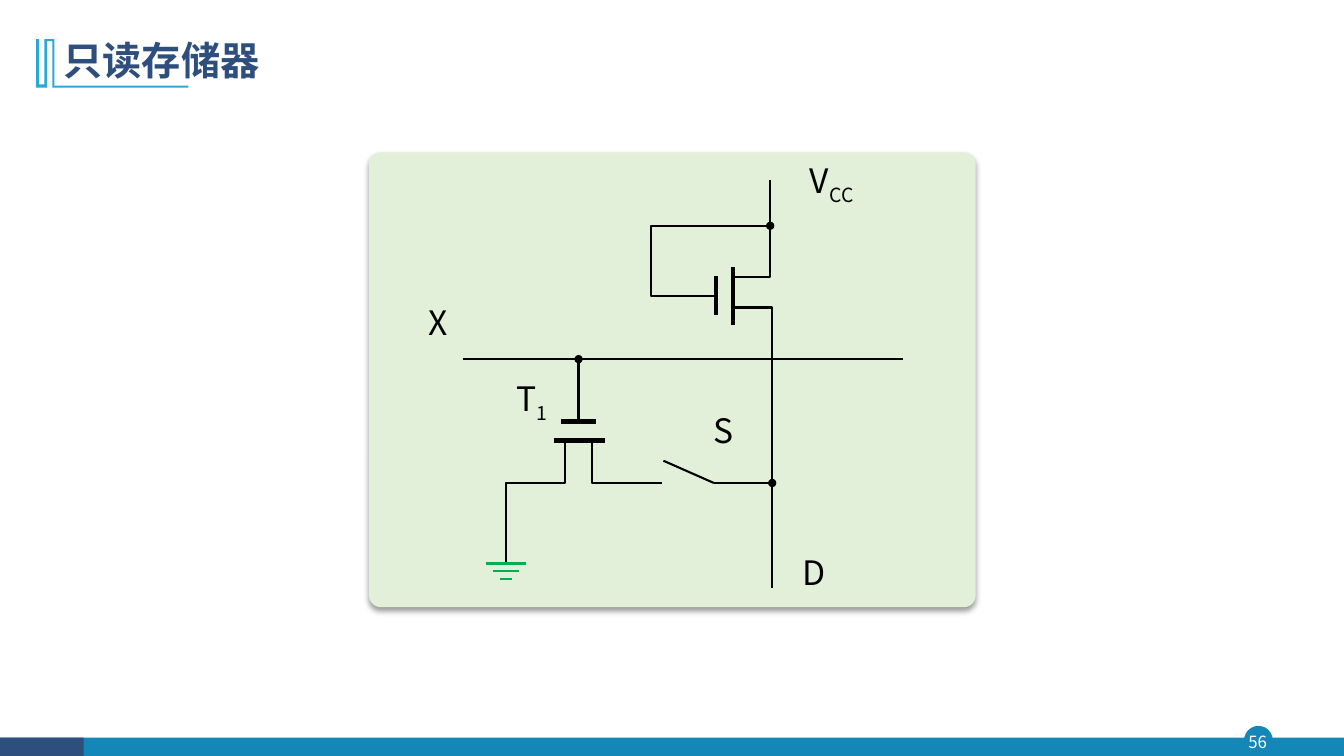
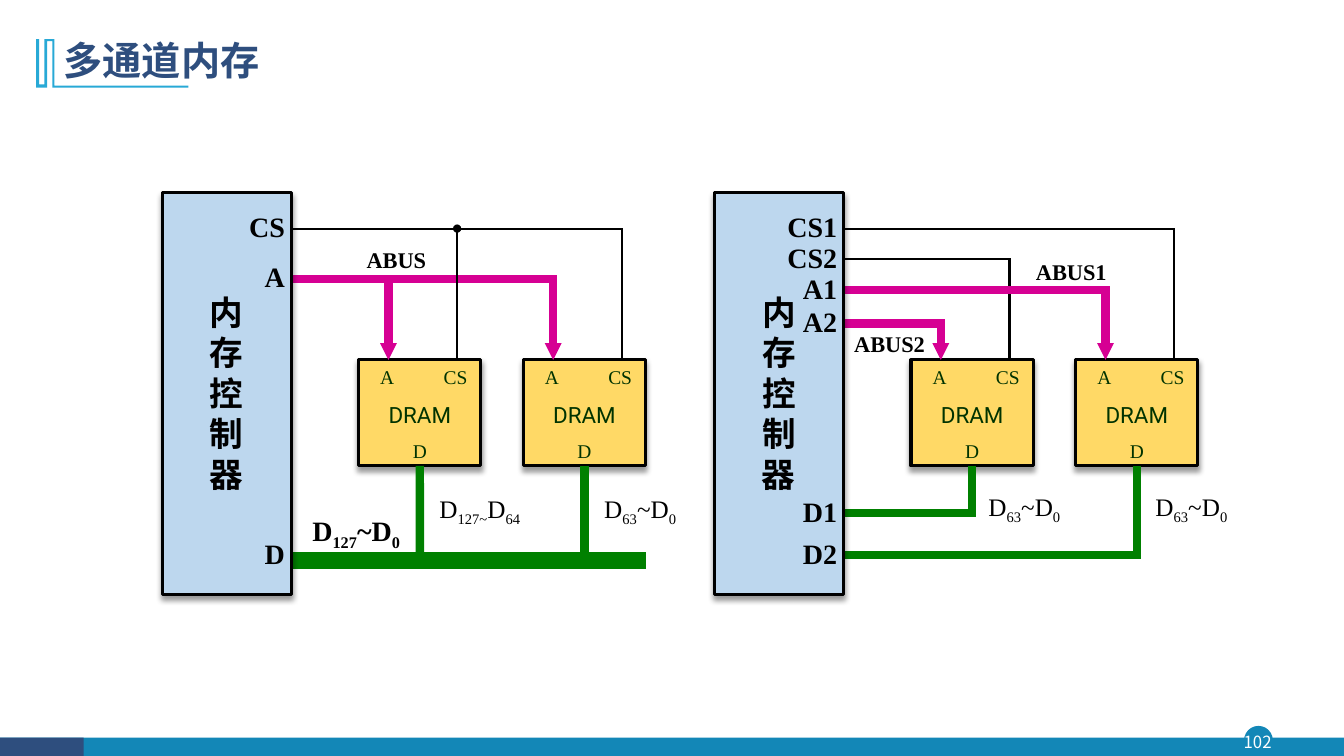
from dataclasses import dataclass
from typing import Any

from lxml.etree import SubElement
from pptx import Presentation
from pptx.dml.color import RGBColor
from pptx.enum.shapes import MSO_CONNECTOR as Link, MSO_SHAPE as Preset
from pptx.enum.text import MSO_ANCHOR as Anchor, MSO_AUTO_SIZE as AutoSize, PP_ALIGN as Align
from pptx.oxml.ns import qn
from pptx.util import Cm, Pt

COLORS = {
    "band": "1387B7", "navy": "2E4E7E", "accent": "28A9D6", "white": "FFFFFF",
    "black": "000000", "panel": "E2F0D9", "ground": "00B050",
    "controller": "BDD7EE", "dram": "FFD966", "dram_text": "003300",
    "address": "D60093", "data": "008000",
}
SANS, SERIF, DRAM_FONT = "Noto Sans CJK SC", "Times New Roman", "Roboto"
SLIDE_W, SLIDE_H = 33.87, 19.05
THIN, PLATE, BUS, WIDE_BUS = 1.5, 3, 6, 12
CM_PER_PT = 2.54 / 72

CONTROLLER_W, CONTROLLER_H = 3.25, 10.13
DRAM_W, DRAM_H, DRAM_TOP = 3.08, 2.67, 4.22
DRAM_LEFTS = (4.95, 9.1)
PIN_A, PIN_CS = 0.75, 2.48


def rgb(name):
    return RGBColor.from_string(COLORS[name])


def style_line(shape, color, width, tip=None, tip_size="med"):
    shape.line.color.rgb = rgb(color)
    shape.line.width = Pt(width)
    if tip:
        ln = shape._element.spPr.find(qn("a:ln"))
        SubElement(ln, qn("a:tailEnd"), type=tip, w=tip_size, len=tip_size)


def style_paragraph(paragraph, size, font, color, bold=False, align=Align.LEFT):
    paragraph.alignment = align
    paragraph.font.size = Pt(size)
    paragraph.font.bold = bold
    paragraph.font.color.rgb = rgb(color)
    paragraph.font.name = font
    defaults = paragraph._p.pPr.find(qn("a:defRPr"))
    SubElement(defaults, qn("a:ea"), typeface=font)


def add_soft_shadow(shape):
    effects = shape._element.spPr.find(qn("a:effectLst"))
    shadow = SubElement(effects, qn("a:outerShdw"), blurRad=str(Pt(4)), dist=str(Pt(3)),
                        dir="5400000", algn="t", rotWithShape="0")
    tint = SubElement(shadow, qn("a:srgbClr"), val=COLORS["black"])
    SubElement(tint, qn("a:alpha"), val="40000")


@dataclass
class Region:
    """A part of a slide; all lengths are cm from its top left corner."""
    slide: Any
    left: float = 0
    top: float = 0

    def at(self, x, y):
        return Cm(self.left + x), Cm(self.top + y)

    def block(self, x, y, w, h, fill, preset=Preset.RECTANGLE, border=None, shadow=False):
        shape = self.slide.shapes.add_shape(preset, *self.at(x, y), Cm(w), Cm(h))
        shape.shadow.inherit = False
        shape.fill.solid()
        shape.fill.fore_color.rgb = rgb(fill)
        if border:
            style_line(shape, *border)
        else:
            shape.line.fill.background()
        if shadow:
            add_soft_shadow(shape)
        return shape

    def outline(self, points, closed=False):
        start, *rest = [self.at(*point) for point in points]
        builder = self.slide.shapes.build_freeform(*start, scale=1.0)
        builder.add_line_segments(rest, close=closed)
        shape = builder.convert_to_shape()
        shape.shadow.inherit = False
        return shape

    def wire(self, *points, tip=None):
        """Thin black wire with bends."""
        shape = self.outline(points)
        shape.fill.background()
        style_line(shape, "black", THIN, tip)

    def line(self, start, end, color="black", width=THIN, tip=None, tip_size="med"):
        connector = self.slide.shapes.add_connector(
            Link.STRAIGHT, *self.at(*start), *self.at(*end))
        style_line(connector, color, width, tip, tip_size)
        SubElement(connector._element.spPr, qn("a:effectLst"))
        return connector

    def label(self, x, y, w, pieces, size, font=SERIF, color="black", bold=False,
              align=Align.RIGHT, h=1.3, shift=-25, anchor=Anchor.TOP):
        """Text whose every second piece is moved off the baseline by shift percent."""
        box = self.slide.shapes.add_textbox(*self.at(x, y), Cm(w), Cm(h))
        frame = box.text_frame
        frame.word_wrap = True
        frame.vertical_anchor = anchor
        frame.margin_left = frame.margin_right = frame.margin_top = frame.margin_bottom = 0
        paragraph = frame.paragraphs[0]
        for index, piece in enumerate(pieces):
            if piece:
                run = paragraph.add_run()
                run.text = piece
                if index % 2:
                    run._r.get_or_add_rPr().set("baseline", str(shift * 1000))
        style_paragraph(paragraph, size, font, color, bold, align)
        return paragraph


def add_base_slide(deck, title, page):
    slide = deck.slides.add_slide(deck.slide_layouts[5])
    frame = Region(slide)
    band_top, band_h = 18.59, 0.46
    frame.block(31.37, 18.31, 0.69, 0.69, "band", Preset.OVAL, ("band", 1))
    frame.block(0, band_top, SLIDE_W, band_h, "band")
    frame.block(0, band_top, 2.11, band_h, "navy")
    frame.label(31.29, 18.31, 0.81, [page], 12, SANS, "white",
                align=Align.CENTER, h=0.79, anchor=Anchor.MIDDLE)
    mark = frame.outline([
        (1.37, 0.99), (1.37, 2.16), (4.75, 2.16), (4.75, 2.21), (1.32, 2.21),
        (1.32, 1.04), (1.19, 1.04), (1.19, 2.21), (0.91, 2.21), (0.91, 0.99),
        (0.99, 0.99), (0.99, 2.13), (1.12, 2.13), (1.12, 0.99)], closed=True)
    mark.fill.solid()
    mark.fill.fore_color.rgb = rgb("accent")
    mark.line.fill.background()

    heading = slide.shapes.title
    heading.left, heading.top, heading.width, heading.height = Cm(1.35), Cm(0.71), Cm(29.21), Cm(1.73)
    heading.text_frame.text = title
    heading.text_frame.auto_size = AutoSize.NONE
    heading.text_frame.vertical_anchor = Anchor.MIDDLE
    paragraph = heading.text_frame.paragraphs[0]
    paragraph.line_spacing = 0.9
    style_paragraph(paragraph, 28, SANS, "navy", bold=True)
    return slide


def draw_rom_cell(slide, left, top):
    cell = Region(slide, left, top)
    panel = cell.block(0, 0, 15.29, 11.46, "panel", Preset.ROUNDED_RECTANGLE, shadow=True)
    panel.adjustments[0] = 0.026

    bit_x, word_y, switch_y = 10.16, 5.21, 8.33
    supply_x, ground_x, ground_y = 10.11, 3.45, 10.36
    # Load transistor
    cell.wire((9.19, 3.15), (supply_x, 3.15), (supply_x, 0.69))
    cell.wire((8.71, 3.61), (7.11, 3.61), (7.11, 1.85), (supply_x, 1.85), tip="oval")
    cell.line((8.74, 3.12), (8.74, 4.11), width=PLATE)
    cell.line((9.17, 2.9), (9.17, 4.34), width=PLATE)
    cell.wire((9.19, 3.91), (bit_x, 3.91), (bit_x, 10.97))
    # Word line and cell transistor
    cell.line((2.36, word_y), (13.46, word_y))
    cell.line((5.28, 6.78), (5.28, word_y), tip="oval")
    cell.line((4.85, 6.78), (5.72, 6.78), width=PLATE)
    cell.line((4.65, 7.26), (5.94, 7.26), width=PLATE)
    cell.wire((5.61, 7.26), (5.61, switch_y), (7.39, switch_y))
    cell.wire((4.93, 7.26), (4.93, switch_y), (ground_x, switch_y), (ground_x, ground_y))
    # Switch and ground
    cell.line((8.69, switch_y), (bit_x, switch_y), tip="oval")
    cell.line((8.69, switch_y), (7.42, 7.77))
    for row, half in enumerate((0.5, 0.33, 0.16)):
        y = ground_y + row * 0.2
        cell.line((ground_x - half, y), (ground_x + half, y), "ground")

    for x, y, w, pieces in (
            (10.36, 0.2, 1.85, ["V", "CC"]), (0.79, 3.76, 1.19, ["X"]),
            (8, 6.48, 1.19, ["S"]), (10.31, 10.08, 1.19, ["D"]),
            (3.3, 5.69, 1.19, ["T", "1"])):
        cell.label(x, y, w, pieces, 24, SANS)


def draw_dram(area, x):
    dram = area.block(x, DRAM_TOP, DRAM_W, DRAM_H, "dram", border=("black", 2.25), shadow=True)
    pin_w = 1.4
    for pin, center, y in (("A", 0.72, 0.02), ("CS", 2.44, 0.02), ("D", DRAM_W / 2, 1.88)):
        area.label(x + center - pin_w / 2, DRAM_TOP + y, pin_w, ["", pin], 24,
                   color="dram_text", align=Align.CENTER, shift=30)
    area.label(x, DRAM_TOP + 1.04, DRAM_W, ["DRAM"], 16, DRAM_FONT, "dram_text",
               align=Align.CENTER, h=0.8)
    return dram


def draw_controller(area, ports):
    area.block(0, 0, CONTROLLER_W, CONTROLLER_H, "controller", border=("black", 2.25), shadow=True)
    for port, y in ports.items():
        area.label(0.25, y - 0.48, 2.84, [port], 20, bold=True)
    name = area.label(0.85, 2.49, 1.19, ["内存控制器"], 24, SANS, bold=True, h=5.13)
    name.line_spacing = Pt(29)


def run_out(area, y, x, color="black", width=THIN):
    """Line from the controller to x, long enough to fill the corner there."""
    area.line((CONTROLLER_W, y), (x + width * CM_PER_PT / 2, y), color, width)


def drop_address(area, x, y):
    area.line((x, y), (x, DRAM_TOP), "address", BUS, "triangle", "sm")


def drop_data(area, dram, x, y):
    center = x + DRAM_W / 2
    link = area.line((center, DRAM_TOP + DRAM_H), (center, y), "data", BUS)
    link.begin_connect(dram, 2)


def draw_single_channel(slide, left, top):
    area = Region(slide, left, top)
    ports = {"CS": 0.91, "A": 2.18, "D": 9.14}
    bus_y = 9.27
    run_out(area, ports["A"], DRAM_LEFTS[-1] + PIN_A, "address", BUS)
    run_out(area, ports["CS"], DRAM_LEFTS[-1] + PIN_CS)
    area.line((CONTROLLER_W, bus_y), (12.19, bus_y), "data", WIDE_BUS)
    for x, tip in zip(DRAM_LEFTS, ("oval", None)):
        dram = draw_dram(area, x)
        drop_address(area, x + PIN_A, ports["A"])
        area.line((x + PIN_CS, DRAM_TOP), (x + PIN_CS, ports["CS"]), tip=tip)
        drop_data(area, dram, x, bus_y)
    draw_controller(area, ports)
    area.label(3.81, 1.35, 2.84, ["ABUS"], 16, bold=True)
    area.label(6.68, 7.57, 2.34, ["D", "127~", "D", "64"], 18)
    area.label(10.77, 7.57, 2.18, ["D", "63", "~D", "0"], 18)
    area.label(3.15, 8.1, 2.84, ["D", "127", "~D", "0"], 20, bold=True)


def draw_dual_channel(slide, left, top):
    area = Region(slide, left, top)
    ports = {"CS1": 0.91, "CS2": 1.68, "A1": 2.46, "A2": 3.3, "D1": 8.08, "D2": 9.14}
    for x, cs, address, data in zip(DRAM_LEFTS, ("CS2", "CS1"), ("A2", "A1"), ("D1", "D2")):
        dram = draw_dram(area, x)
        run_out(area, ports[address], x + PIN_A, "address", BUS)
        drop_address(area, x + PIN_A, ports[address])
        run_out(area, ports[cs], x + PIN_CS)
        area.line((x + PIN_CS, DRAM_TOP), (x + PIN_CS, ports[cs]))
        run_out(area, ports[data], x + DRAM_W / 2, "data", BUS)
        drop_data(area, dram, x, ports[data])
    draw_controller(area, ports)
    area.label(7.04, 1.65, 2.84, ["ABUS1"], 16, bold=True)
    area.label(2.46, 3.48, 2.84, ["ABUS2"], 16, bold=True)
    for x in (6.53, 10.74):
        area.label(x, 7.52, 2.18, ["D", "63", "~D", "0"], 18)


def main():
    deck = Presentation()
    deck.slide_width, deck.slide_height = Cm(SLIDE_W), Cm(SLIDE_H)
    draw_rom_cell(add_base_slide(deck, "只读存储器", "56"), 9.3, 3.84)
    channels = add_base_slide(deck, "多通道内存", "102")
    draw_single_channel(channels, 4.09, 4.85)
    draw_dual_channel(channels, 18.01, 4.85)
    deck.save("out.pptx")


if __name__ == "__main__":
    main()
